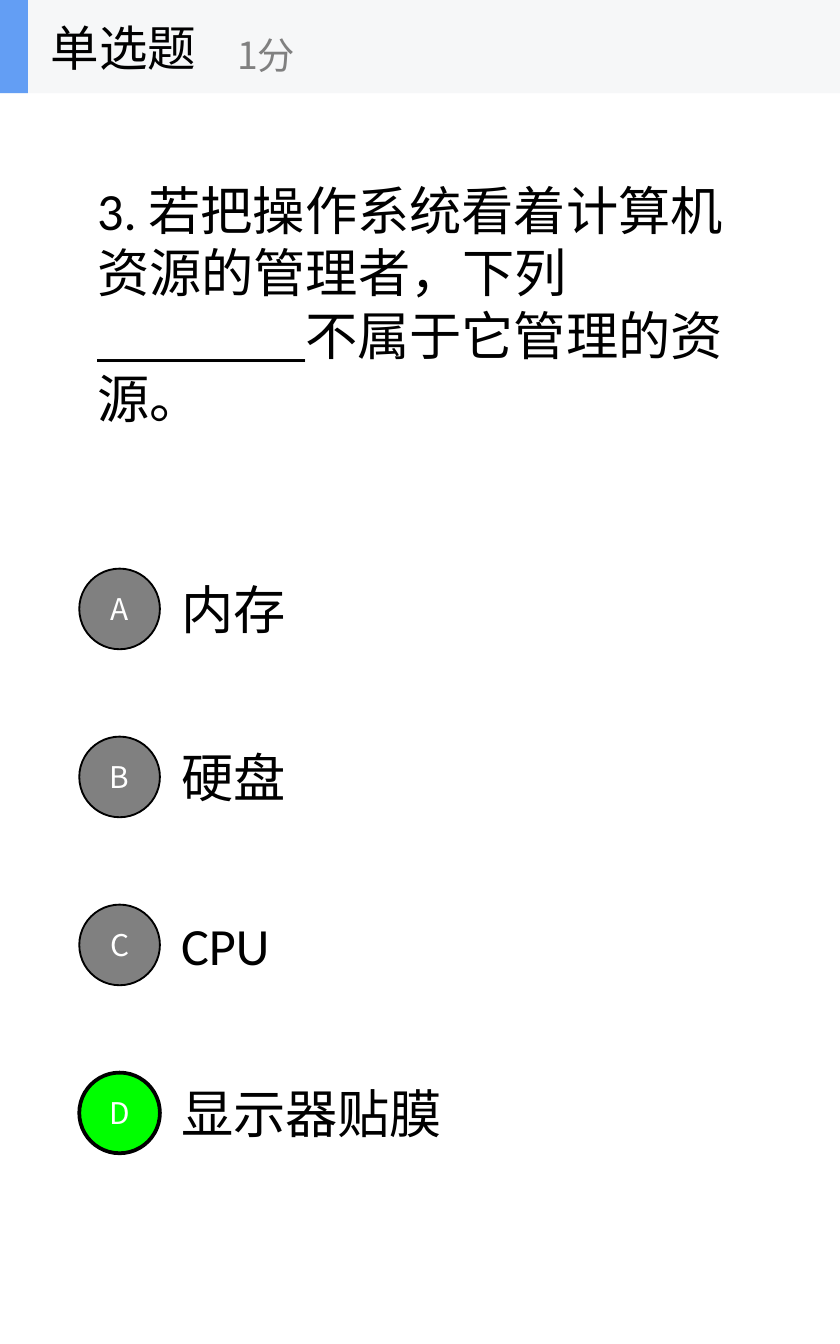
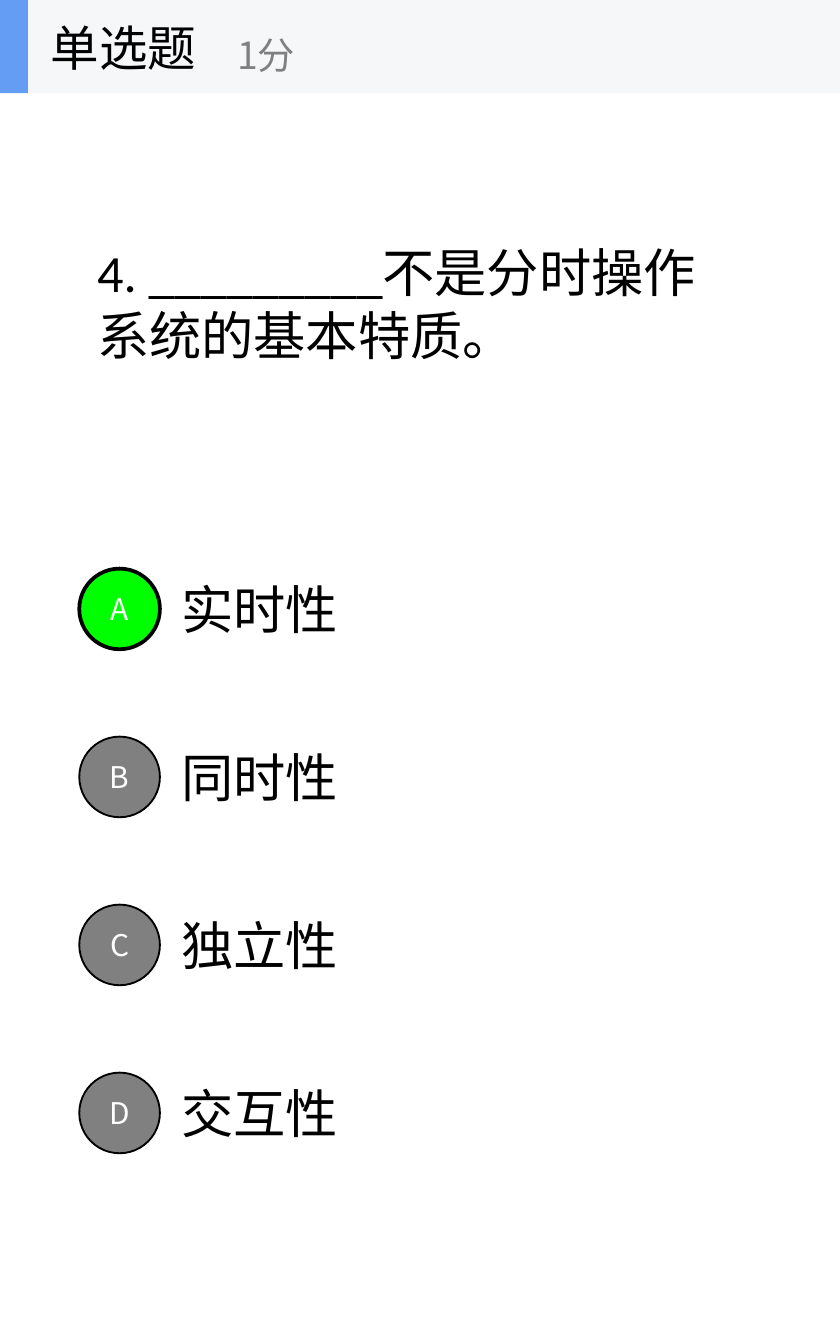
from lxml.etree import SubElement
from pptx import Presentation
from pptx.dml.color import RGBColor
from pptx.enum.shapes import MSO_SHAPE as Preset
from pptx.enum.text import MSO_ANCHOR as Anchor, MSO_AUTO_SIZE as AutoSize, PP_ALIGN as Align
from pptx.oxml.ns import qn
from pptx.util import Pt

WIDTH, HEIGHT = 450, 720
HEADER_HEIGHT = 50
ACCENT_WIDTH = 15
OPTION_TOP, OPTION_STEP, OPTION_HEIGHT = 292.5, 90, 67.5
BADGE_LEFT, BADGE_SIZE = 42.5, 43.2

QUESTIONS = [
    ("3. 若把操作系统看着计算机资源的管理者，下列________不属于它管理的资源。",
     ["内存", "硬盘", "CPU", "显示器贴膜"], "D"),
    ("4. _________不是分时操作系统的基本特质。",
     ["实时性", "同时性", "独立性", "交互性"], "A"),
]


def color(value):
    return RGBColor.from_string(value)


class QuizDeck:
    BODY_FONT, CJK_FONT = "Calibri", "Noto Sans CJK SC"
    BLACK, WHITE, GRAY = "000000", "FFFFFF", "808080"
    CORRECT, BAND, ACCENT = "00FF00", "F6F7F8", "639EF4"

    def __init__(self):
        self.deck = Presentation()
        self.deck.slide_width, self.deck.slide_height = Pt(WIDTH), Pt(HEIGHT)
        self.slide = None

    def new_slide(self):
        self.slide = self.deck.slides.add_slide(self.deck.slide_layouts[6])

    def set_text(self, frame, text, size, font, hue, align=Align.LEFT):
        frame.text = text
        frame.vertical_anchor = Anchor.MIDDLE
        paragraph = frame.paragraphs[0]
        paragraph.alignment = align
        run = paragraph.runs[0]
        run.font.size, run.font.name = Pt(size), font
        run.font.color.rgb = color(hue)
        SubElement(run._r.get_or_add_rPr(), qn("a:ea"), typeface=self.CJK_FONT)

    def label(self, shapes, box, text, size, font=BODY_FONT, hue=BLACK, wrap=True):
        frame = shapes.add_textbox(*map(Pt, box)).text_frame
        frame.auto_size = AutoSize.NONE
        frame.word_wrap = wrap
        self.set_text(frame, text, size, font, hue)

    def shape(self, shapes, preset, box, fill, line_width=0):
        figure = shapes.add_shape(preset, *map(Pt, box))
        figure.shadow.inherit = False
        figure.fill.solid()
        figure.fill.fore_color.rgb = color(fill)
        if line_width:
            figure.line.color.rgb = color(self.BLACK)
            figure.line.width = Pt(line_width)
        else:
            figure.line.fill.background()
        return figure

    def header(self, title, score):
        header = self.slide.shapes.add_group_shape().shapes
        for width, fill in ((WIDTH, self.BAND), (ACCENT_WIDTH, self.ACCENT)):
            self.shape(header, Preset.RECTANGLE, (0, 0, width, HEADER_HEIGHT), fill)
        self.label(header, (20, 0, 150, HEADER_HEIGHT), title, 26, self.CJK_FONT, wrap=False)
        self.label(header, (120, 9, 180, 40.5), score, 20, self.CJK_FONT, self.GRAY, wrap=False)

    def question(self, text):
        self.label(self.slide.shapes, (45, HEADER_HEIGHT, 360, 225), text, 28)

    def option(self, row, letter, text, correct):
        top = OPTION_TOP + row * OPTION_STEP
        self.label(self.slide.shapes, (90, top, 315, OPTION_HEIGHT), text, 28)
        badge_top = top + (OPTION_HEIGHT - BADGE_SIZE) / 2
        badge = self.shape(self.slide.shapes, Preset.OVAL,
                           (BADGE_LEFT, badge_top, BADGE_SIZE, BADGE_SIZE),
                           self.CORRECT if correct else self.GRAY, 2 if correct else 1)
        self.set_text(badge.text_frame, letter, 16, self.CJK_FONT, self.WHITE, Align.CENTER)


def main():
    quiz = QuizDeck()
    for question, options, answer in QUESTIONS:
        quiz.new_slide()
        quiz.question(question)
        for row, (letter, option) in enumerate(zip("ABCD", options)):
            quiz.option(row, letter, option, letter == answer)
        quiz.header("单选题", "1分")
    quiz.deck.save("out.pptx")


if __name__ == "__main__":
    main()
